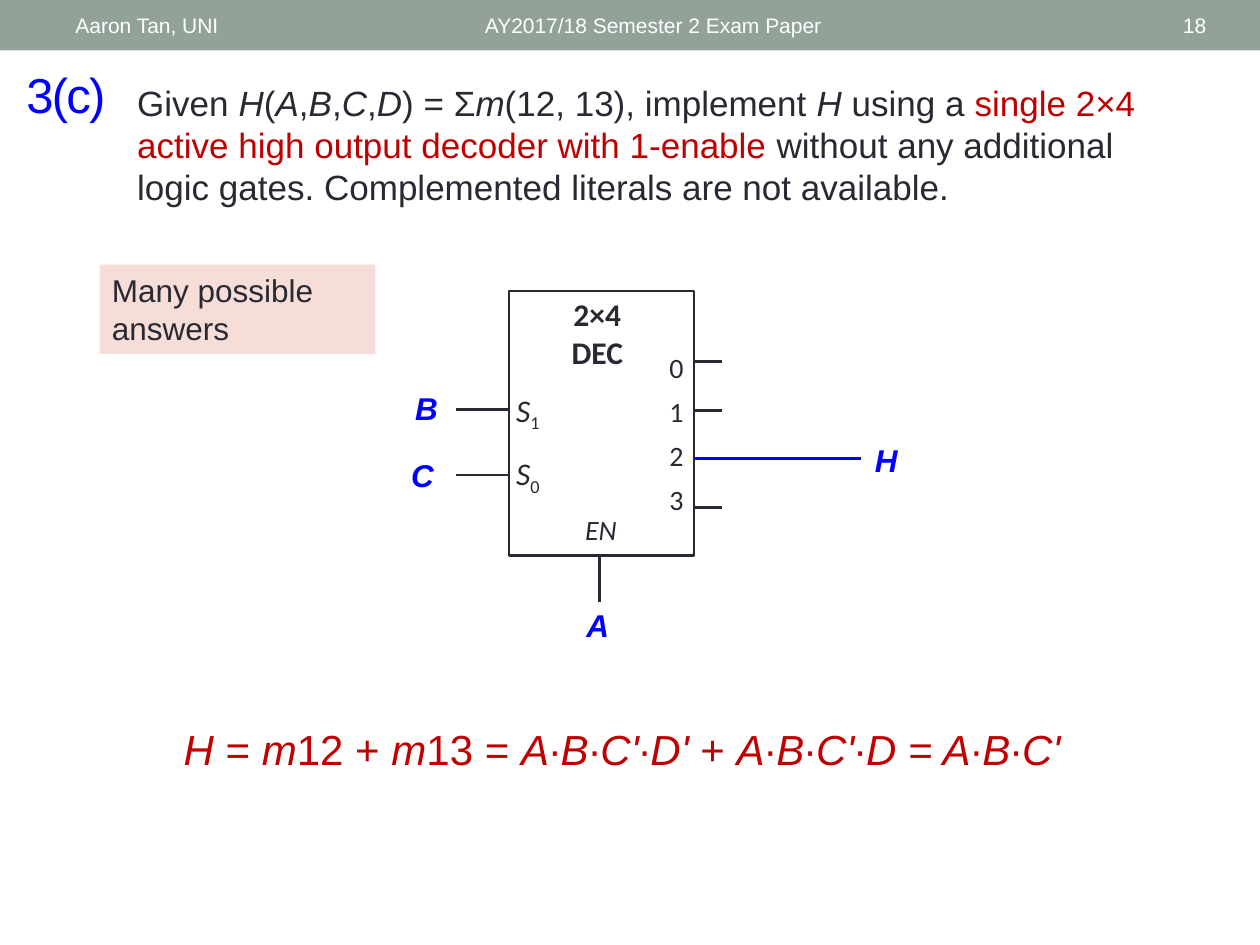
from pptx import Presentation
from pptx.dml.color import RGBColor
from pptx.enum.shapes import MSO_CONNECTOR, MSO_SHAPE
from pptx.enum.text import MSO_ANCHOR, PP_ALIGN
from pptx.oxml.ns import qn
from pptx.util import Pt
from lxml.etree import SubElement

INK = {"bar": "93A299", "white": "FFFFFF", "dark": "292934",
       "blue": "0000FF", "red": "C00000", "pink": "F6DDD8"}

# Content: *italic*, |red|, ~subscript~
HEADS = [("Aaron Tan, UNI", 36, 228, "l"),
         ("AY2017/18 Semester 2 Exam Paper", 270, 324, "l"),
         ("18", 628, 68.4, "r")]
TASK = ("Given *H*(*A*,*B*,*C*,*D*) = Σ*m*(12, 13), implement *H* using a "
        "|single 2×4 active high output decoder with 1-enable |without any "
        "additional logic gates. Complemented literals are not available.")
PROOF = ("*H* = *m*12 + *m*13 = *A*∙*B*∙*C'*∙*D'* + "
         "*A*∙*B*∙*C'*∙*D = A*∙*B*∙*C'*")
PARTS = [(["2×4", "DEC"], (313.2, 167.8, 56.2, 49), 18, 0, True),
         (["*EN*"], (324.7, 292.3, 37.4, 29.5), 16, 6, False),
         (["*S*~1~", "*S*~0~"], (282.2, 222.5, 38.9, 74.2), 18, 12, False),
         (["0", "1", "2", "3"], (364.3, 199.4, 44.6, 123.1), 16, 6, False)]
PINS = [("A", 317.5, 342.7), ("B", 219.6, 218.9),
        ("C", 217.4, 257), ("H", 482.4, 248.4)]
ALIGN = {"l": PP_ALIGN.LEFT, "c": PP_ALIGN.CENTER, "r": PP_ALIGN.RIGHT}

deck = Presentation()
deck.slide_width, deck.slide_height = Pt(720), Pt(540)
slide = deck.slides.add_slide(deck.slide_layouts[6])


def tint(name):
    return RGBColor.from_string(INK[name])


def write(par, text, size, color, font, bold):
    """Split marked text into runs."""
    marks, word = {"*": False, "|": False, "~": False}, ""
    for sign in text + "\0":
        if sign not in marks and sign != "\0":
            word += sign
            continue
        if word:
            run = par.add_run()
            run.text = word
            run.font.name, run.font.size = font, Pt(size)
            run.font.bold, run.font.italic = bold, marks["*"]
            run.font.color.rgb = tint("red" if marks["|"] else color)
            if marks["~"]:
                run.font._element.set("baseline", "-25000")
            word = ""
        if sign in marks:
            marks[sign] = not marks[sign]


def label(rows, area, size, color="dark", align="l", font="Arial",
          bold=False, after=0, inset=None, middle=False, fill=None):
    box = slide.shapes.add_textbox(*map(Pt, area))
    if fill:
        box.fill.solid()
        box.fill.fore_color.rgb = tint(fill)
    frame = box.text_frame
    frame.word_wrap = True
    if middle:
        frame.vertical_anchor = MSO_ANCHOR.MIDDLE
    if inset is not None:
        frame.margin_left = frame.margin_right = Pt(inset)
        frame.margin_top = frame.margin_bottom = Pt(inset)
    for i, row in enumerate(rows):
        par = frame.add_paragraph() if i else frame.paragraphs[0]
        par.alignment, par.space_after = ALIGN[align], Pt(after)
        write(par, row, size, color, font, bold)
    return box


def block(area, fill, edge=None):
    rect = slide.shapes.add_shape(MSO_SHAPE.RECTANGLE, *map(Pt, area))
    rect.shadow.inherit = False
    rect.fill.solid()
    rect.fill.fore_color.rgb = tint(fill)
    if edge:
        rect.line.color.rgb, rect.line.width = tint(edge), Pt(1.5)
    else:
        rect.line.fill.background()


def wire(x1, y1, x2, y2, color="dark"):
    line = slide.shapes.add_connector(
        MSO_CONNECTOR.STRAIGHT, Pt(x1), Pt(y1), Pt(x2), Pt(y2))
    line.line.color.rgb, line.line.width = tint(color), Pt(1.5)
    SubElement(line._element.spPr, qn("a:effectLst"))


# Header bar, question number and task
block((0, 0, 720, 28.8), "bar")
for text, x, width, side in HEADS:
    label([text], (x, 1.4, width, 26), 12, "white", side, middle=True)
title = label(["3(c)"], (8, 26.6, 68.4, 54), 28, "blue", middle=True)
title.text_frame.paragraphs[0].runs[0].font._element.set("spc", "-100")
label([TASK], (71.3, 43.2, 603.4, 80), 20)

# Decoder wires, body and inner labels
for i in range(4):
    y = 206.6 + 27.86 * i
    wire(373.7, y, 412.6, y)
for y in (234, 271.4):
    wire(260.6, y, 293, y)
wire(342.7, 316, 342.7, 344.2)
block((290.9, 166.3, 105.8, 151.2), "white", "dark")
for rows, area, size, gap, bold in PARTS:
    label(rows, area, size, align="c", font="Calibri", bold=bold,
          after=gap, inset=0.7)

# Answer
label([PROOF], (97.9, 409.7, 524.9, 36), 24, "red")
label(["Many possible answers"], (56.9, 151.2, 157.7, 51.1), 18, fill="pink")
wire(396.7, 262, 491.8, 262, "blue")
for name, x, y in PINS:
    label([f"*{name}*"], (x, y, 48.2, 28.8), 18, "blue", "c", bold=True)

deck.save("out.pptx")
